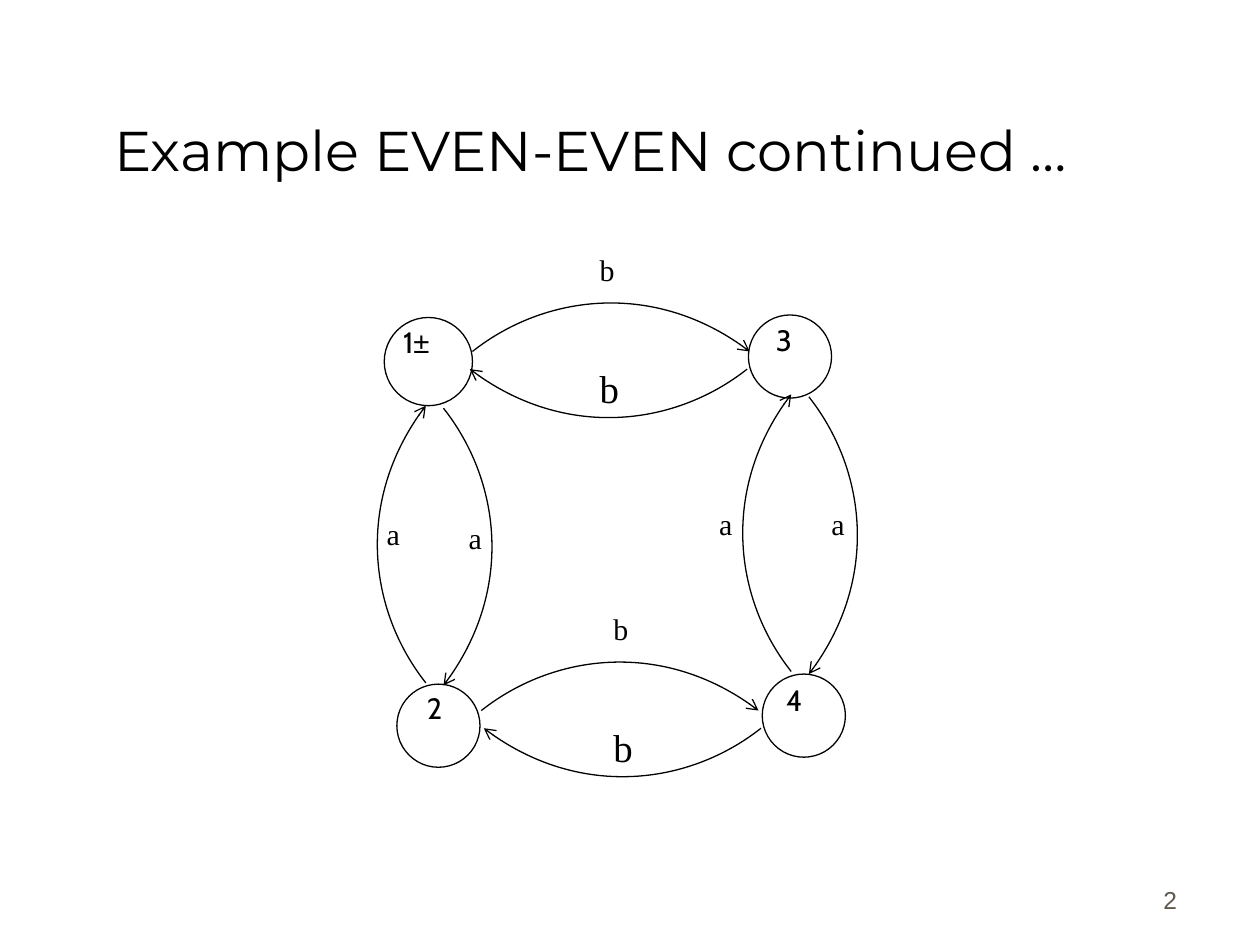
from lxml import etree
from pptx import Presentation
from pptx.dml.color import RGBColor
from pptx.enum.shapes import MSO_SHAPE
from pptx.enum.text import MSO_ANCHOR, PP_ALIGN
from pptx.oxml.ns import qn
from pptx.util import Inches, Pt

OVAL = MSO_SHAPE.OVAL
TOP, BOTTOM = MSO_ANCHOR.TOP, MSO_ANCHOR.BOTTOM
LEFT, CENTER, RIGHT = PP_ALIGN.LEFT, PP_ALIGN.CENTER, PP_ALIGN.RIGHT
EAST, WEST, NORTH, SOUTH = (1, 0), (-1, 0), (0, -1), (0, 1)
ARC_POINTS = [(0.57, 0.45), (1.47, 0.56), (2.2, 0)]


def color(hex_string):
    return RGBColor.from_string(hex_string)


class Diagram:
    ink = "000000"
    paper = "FFFFFF"
    serif = "Times New Roman"
    state_font = "Cabin"

    def __init__(self, page):
        self.page = page

    def text(self, left, top, width, height, spans, size, ink=ink,
             align=LEFT, anchor=TOP, spacing=None, before=None):
        box = self.page.shapes.add_textbox(
            Inches(left), Inches(top), Inches(width), Inches(height))
        frame = box.text_frame
        frame.word_wrap = True
        frame.vertical_anchor = anchor
        para = frame.paragraphs[0]
        para.alignment = align
        para.line_spacing = spacing
        para.space_before = before
        para.font.size = Pt(size)
        para.font.color.rgb = color(ink)
        para.font.name = spans[0][1]
        for words, font in spans:
            span = para.add_run()
            span.text = words
            if font != para.font.name:
                span.font.name = font

    def outline(self, shape):
        shape.shadow.inherit = False
        shape.line.color.rgb = color(self.ink)
        shape.line.width = Pt(0.75)

    def state(self, left, top, size):
        circle = self.page.shapes.add_shape(
            OVAL, Inches(left), Inches(top), Inches(size), Inches(size))
        circle.fill.solid()
        circle.fill.fore_color.rgb = color(self.paper)
        self.outline(circle)

    def state_name(self, left, top, *spans):
        self.text(left, top, 0.69, 0.4, spans, 16.8, spacing=0.8)

    def small_label(self, left, top, letter):
        self.text(left, top, 0.41, 0.4, [(letter, self.serif)], 17.1, spacing=0.8)

    def large_label(self, left, top, letter):
        self.text(left, top, 0.49, 0.5, [(letter, self.serif)], 22.2, spacing=0.9)

    def transition(self, x, y, direction):
        dx, dy = direction
        points = [(Inches(x + along * dx + bulge * dy),
                   Inches(y + along * dy - bulge * dx))
                  for along, bulge in ARC_POINTS]
        builder = self.page.shapes.build_freeform(Inches(x), Inches(y))
        builder.add_line_segments(points, close=False)
        arc = builder.convert_to_shape()
        arc.fill.background()
        self.outline(arc)
        outline_path = next(arc.element.iter(qn("a:path")))
        curve = etree.SubElement(outline_path, qn("a:cubicBezTo"))
        for segment in outline_path.findall(qn("a:lnTo")):
            curve.append(segment[0])
            outline_path.remove(segment)
        line = arc.line._get_or_add_ln()
        etree.SubElement(line, qn("a:tailEnd"), type="arrow")


def main():
    deck = Presentation()
    deck.slide_width, deck.slide_height = Inches(10), Inches(7.5)
    diagram = Diagram(deck.slides.add_slide(deck.slide_layouts[6]))

    diagram.text(0.44, 0.25, 8.5, 1.25, [("Example EVEN-EVEN continued …", "Montserrat")],
                 32, align=CENTER, anchor=BOTTOM)
    diagram.text(7.36, 6.81, 2.08, 0.5, [("2", "Arial")], 14, ink="5E574E",
                 align=RIGHT, anchor=BOTTOM, before=Pt(8.8))

    for left, top, size in [(3.05, 2.52, 0.7), (5.94, 2.5, 0.66),
                            (3.15, 5.43, 0.66), (6.05, 5.35, 0.66)]:
        diagram.state(left, top, size)

    for x, y, direction in [
        (3.75, 2.79, EAST), (5.93, 2.93, WEST),
        (3.82, 5.64, EAST), (6.04, 5.78, WEST),
        (3.38, 5.42, NORTH), (3.52, 3.24, SOUTH),
        (6.28, 5.33, NORTH), (6.42, 3.15, SOUTH),
    ]:
        diagram.transition(x, y, direction)

    for left, top in [(4.66, 2), (4.77, 4.85)]:
        diagram.small_label(left, top, "b")
        diagram.large_label(left, top + 0.89, "b")
    for left, top in [(2.97, 4.1), (3.62, 4.13), (5.61, 4.02), (6.5, 4.02)]:
        diagram.small_label(left, top, "a")

    diagram.state_name(3.1, 2.58, ("1", diagram.state_font), ("±", "Arial"))
    for left, top, name in [(3.29, 5.48, "2"), (6.06, 2.56, "3"), (6.14, 5.42, "4")]:
        diagram.state_name(left, top, (name, diagram.state_font))

    deck.save("out.pptx")


if __name__ == "__main__":
    main()
